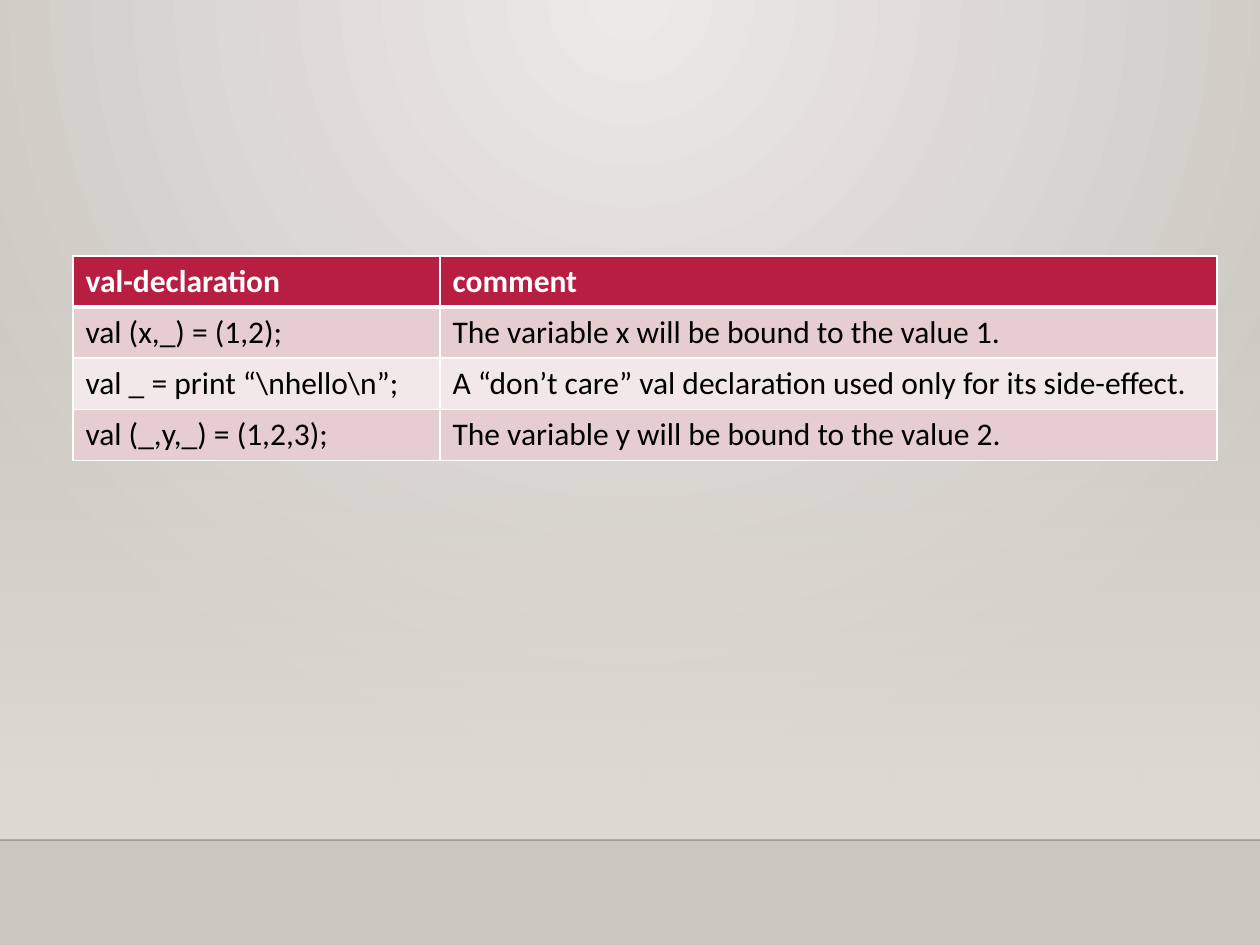
from lxml import etree
from pptx import Presentation
from pptx import util as u
from pptx.dml.color import RGBColor
from pptx.enum import shapes, text
from pptx.oxml import parse_xml
from pptx.oxml.ns import nsdecls, qn

PX = u.Inches(1) / 126
WIDTH, HEIGHT = 1260, 945
FONT = "Calibri"
COLORS = {
    "glow": "ECEAE7",
    "edge": "CAC7C1",
    "wall": "DFDBD5",
    "horizon": "000001",
    "header": "B71E42",
    "odd_row": "E6CDCF",
    "even_row": "F3E8E9",
    "white": "FFFFFF",
    "black": "000000",
}
COLUMN_WIDTHS = [367, 777]
ROWS = [
    ("val-declaration", "comment"),
    ("val (x,_) = (1,2);", "The variable x will be bound to the value 1."),
    ("val _ = print “\\nhello\\n”;",
     "A “don’t care” val declaration used only for its side-effect."),
    ("val (_,y,_) = (1,2,3);", "The variable y will be bound to the value 2."),
]


def px(length):
    return u.Emu(round(length * PX))


def rgb(name):
    return RGBColor.from_string(COLORS[name])


def set_gradient(parent, stops, direction):
    """Replace the gradient in parent; stops are (percent, colour, alpha percent)."""
    stop_xml = "".join(
        f'<a:gs pos="{position * 1000}"><a:srgbClr val="{COLORS[name]}">'
        f'<a:alpha val="{alpha * 1000}"/></a:srgbClr></a:gs>'
        for position, name, alpha in stops)
    gradient = parse_xml(
        f'<a:gradFill {nsdecls("a")} rotWithShape="1">'
        f"<a:gsLst>{stop_xml}</a:gsLst>{direction}</a:gradFill>")
    parent.replace(parent.find(qn("a:gradFill")), gradient)


def add_backdrop(slide):
    slide.background.fill.gradient()
    set_gradient(
        slide.element.find(".//" + qn("p:bgPr")),
        [(0, "glow", 100), (100, "edge", 100)],
        '<a:path path="circle">'
        '<a:fillToRect l="43000" t="0" r="43000" b="100000"/></a:path>')


def add_wall(slide, left, top, width, height):
    """Fading wall with the horizon line along its lower edge."""
    wall = slide.shapes.add_shape(
        shapes.MSO_SHAPE.RECTANGLE, px(left), px(top), px(width), px(height))
    wall.shadow.inherit = False
    wall.line.fill.background()
    wall.fill.gradient()
    set_gradient(wall.element.spPr, [(0, "wall", 0), (100, "wall", 100)],
                 '<a:lin ang="5400000" scaled="0"/>')

    bottom = px(top + height)
    horizon = slide.shapes.add_connector(
        shapes.MSO_CONNECTOR.STRAIGHT, px(left), bottom, px(left + width), bottom)
    horizon.line.width = u.Pt(1)
    horizon.line.color.rgb = rgb("horizon")
    properties = horizon.element.spPr
    color = properties.find(".//" + qn("a:srgbClr"))
    etree.SubElement(color, qn("a:alpha"), val="20000")
    etree.SubElement(properties, qn("a:effectLst"))


def set_borders(cell, bottom_width):
    properties = cell._tc.get_or_add_tcPr()
    widths = {"lnL": 1, "lnR": 1, "lnT": 1, "lnB": bottom_width}
    for index, (side, width) in enumerate(widths.items()):
        properties.insert(index, parse_xml(
            f'<a:{side} {nsdecls("a")} w="{u.Pt(width)}"><a:solidFill>'
            f'<a:srgbClr val="{COLORS["white"]}"/></a:solidFill></a:{side}>'))


def fill_cell(cell, wording, row_index):
    is_header = row_index == 0
    fill_name = "header" if is_header else "odd_row" if row_index % 2 else "even_row"
    cell.fill.solid()
    cell.fill.fore_color.rgb = rgb(fill_name)
    set_borders(cell, 3 if is_header else 1)
    cell.vertical_anchor = text.MSO_ANCHOR.TOP
    cell.text_frame.text = wording
    font = cell.text_frame.paragraphs[0].runs[0].font
    font.name = FONT
    font.size = u.Pt(18)
    font.bold = is_header
    font.color.rgb = rgb("white" if is_header else "black")


def add_declaration_table(slide, left, top, row_height):
    table = slide.shapes.add_table(
        len(ROWS), len(COLUMN_WIDTHS), px(left), px(top),
        px(sum(COLUMN_WIDTHS)), px(row_height * len(ROWS))).table
    for column, width in zip(table.columns, COLUMN_WIDTHS):
        column.width = px(width)
    for row_index, wordings in enumerate(ROWS):
        table.rows[row_index].height = px(row_height)
        for column_index, wording in enumerate(wordings):
            fill_cell(table.cell(row_index, column_index), wording, row_index)


def main():
    presentation = Presentation()
    presentation.slide_width = px(WIDTH)
    presentation.slide_height = px(HEIGHT)
    slide = presentation.slides.add_slide(presentation.slide_layouts[6])
    add_backdrop(slide)
    add_wall(slide, 0, 278, WIDTH, 562)
    add_declaration_table(slide, 73, 256, 51)
    presentation.save("out.pptx")


if __name__ == "__main__":
    main()
